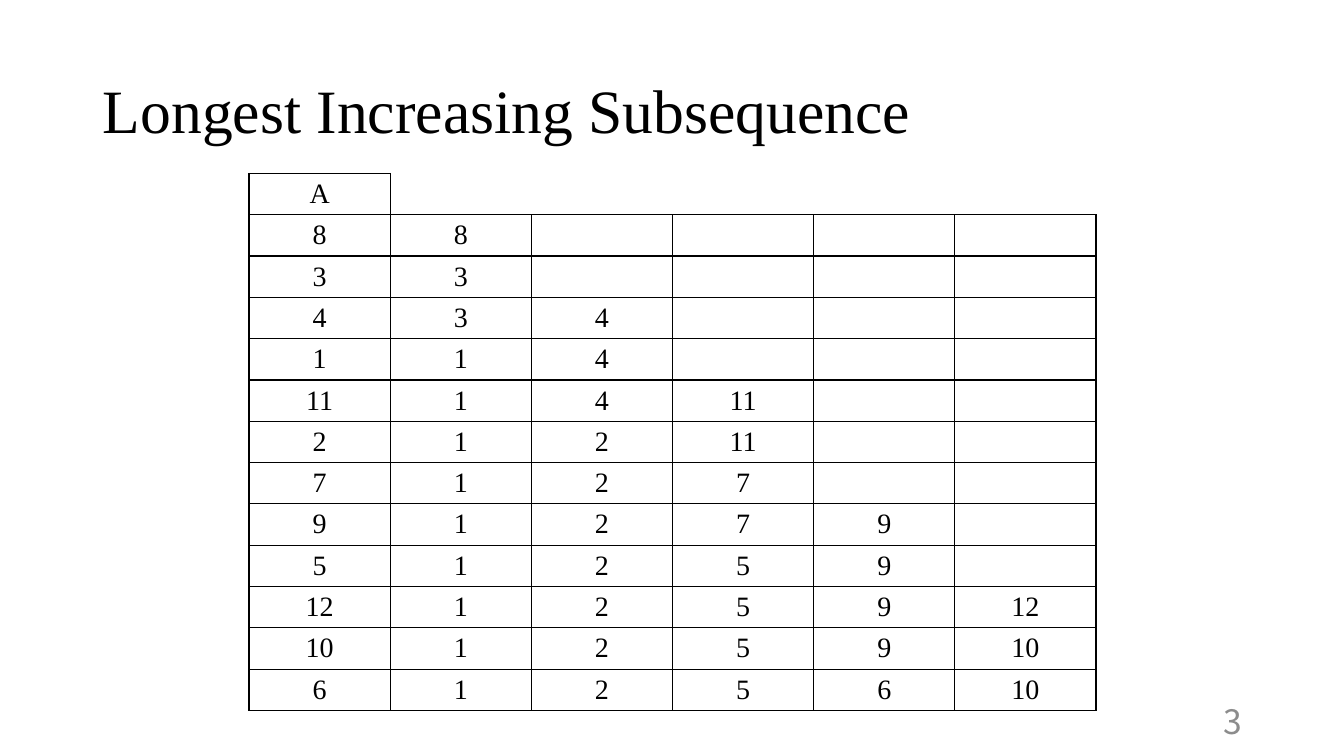
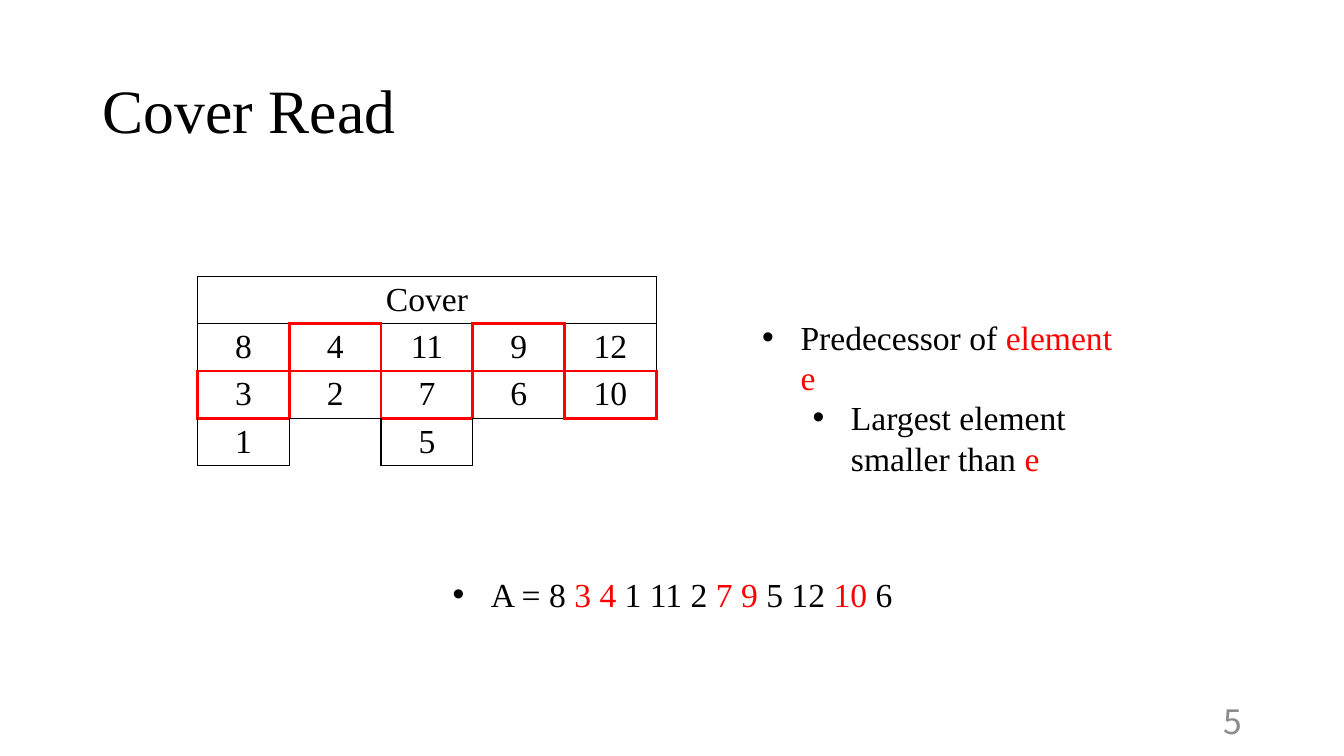
from lxml.etree import SubElement
from pptx import Presentation
from pptx.dml.color import RGBColor
from pptx.enum.text import MSO_ANCHOR as Anchor, MSO_AUTO_SIZE as AutoSize, PP_ALIGN as Align
from pptx.oxml.ns import qn
from pptx.util import Inches, Pt

BLACK, RED, GREY = "000000", "FF0000", "8C8C8C"
SERIF, SANS = "Times New Roman", "Noto Sans CJK JP"
TITLE_ONLY, TWO_CONTENT = 5, 3
PLAIN_TABLE = "{2D5ABB26-0587-4C30-8999-92F81FD0307C}"
# Border tag and the row and column step to the neighbour on that side
SIDES = (("a:lnL", 0, -1), ("a:lnR", 0, 1), ("a:lnT", -1, 0), ("a:lnB", 1, 0))


def color(hex_string):
    return RGBColor.from_string(hex_string)


def write(para, text, size=24, font=SERIF, ink=BLACK, align=Align.LEFT, spacing=1.0):
    """Fill a paragraph; text between a pair of bars is set in red."""
    para.alignment = align
    para.line_spacing = spacing
    para.space_before = para.space_after = Pt(0)
    for index, part in enumerate(text.split("|")):
        if part:
            span = para.add_run()
            span.text = part
            span.font.size = Pt(size)
            span.font.name = font
            span.font.color.rgb = color(RED if index % 2 else ink)


def add_bullet(para, level):
    para.level = level
    properties = para._p.get_or_add_pPr()
    properties.set("marL", str(Inches(0.38 + 0.5 * level)))
    properties.set("indent", str(Inches(-0.38)))
    SubElement(properties, qn("a:buFont")).set("typeface", "Arial")
    SubElement(properties, qn("a:buChar")).set("char", "•")


def add_border(cell, tag, ink, width):
    line = SubElement(cell._tc.get_or_add_tcPr(), qn(tag), w=str(Pt(width)))
    if ink:
        fill = SubElement(line, qn("a:solidFill"))
        SubElement(fill, qn("a:srgbClr")).set("val", ink)
    else:
        SubElement(line, qn("a:noFill"))


class Deck:
    """The shared style, and the slide being built."""

    def __init__(self):
        self.file = Presentation()
        self.file.slide_width, self.file.slide_height = Inches(13.33), Inches(7.5)
        self.slide = None

    def add_slide(self, layout, title, number):
        self.slide = self.file.slides.add_slide(self.file.slide_layouts[layout])
        frame = self.place(self.slide.shapes.title, 0.92, 0.4, 11.5, 1.45, Anchor.MIDDLE)
        write(frame.paragraphs[0], title, size=44, spacing=0.9)
        box = self.slide.shapes.add_textbox(0, 0, 0, 0)
        frame = self.place(box, 9.42, 6.95, 3, 0.4, Anchor.MIDDLE)
        write(frame.paragraphs[0], str(number), font=SANS, ink=GREY, align=Align.RIGHT)

    def place(self, box, left, top, width, height, anchor=Anchor.TOP):
        box.left, box.top = Inches(left), Inches(top)
        box.width, box.height = Inches(width), Inches(height)
        frame = box.text_frame
        frame.word_wrap = True
        frame.auto_size = AutoSize.NONE
        frame.vertical_anchor = anchor
        return frame

    def add_list(self, index, items, left, top, width, height, **style):
        """Fill a body placeholder with (level, text) items."""
        frame = self.place(self.slide.placeholders[index], left, top, width, height)
        for position, (level, text) in enumerate(items):
            para = frame.add_paragraph() if position else frame.paragraphs[0]
            write(para, text, **style)
            add_bullet(para, level)

    def add_grid(self, rows, left, top, cell_width, cell_height, size,
                 open_cells=(), marked=(), merged_header=False):
        """Box all cells but the open ones, with red borders round the marked ones."""
        row_count, column_count = len(rows), max(map(len, rows))
        frame = self.slide.shapes.add_table(
            row_count, column_count, Inches(left), Inches(top),
            Inches(cell_width * column_count), Inches(cell_height * row_count))
        table = frame.table
        table.first_row = table.horz_banding = False
        table._tbl.tblPr.find(qn("a:tableStyleId")).text = PLAIN_TABLE
        for row in table.rows:
            row.height = Inches(cell_height)
        for column in table.columns:
            column.width = Inches(cell_width)
        boxed = {(row, column) for row in range(row_count)
                 for column in range(column_count)} - set(open_cells)
        for row in range(row_count):
            for column in range(column_count):
                cell = table.cell(row, column)
                for tag, down, right in SIDES:
                    pair = {(row, column), (row + down, column + right)}
                    if pair & set(marked):
                        add_border(cell, tag, RED, 2.25)
                    else:
                        add_border(cell, tag, BLACK if pair & boxed else None, 1)
                cell.fill.background()
                if column < len(rows[row]):
                    write(cell.text_frame.paragraphs[0], rows[row][column],
                          size=size, align=Align.CENTER)
        if merged_header:
            table.cell(0, 0).merge(table.cell(0, column_count - 1))


def add_subsequence_slide(deck):
    deck.add_slide(TITLE_ONLY, "Longest Increasing Subsequence", 3)
    steps = ["A", "8 8", "3 3", "4 3 4", "1 1 4", "11 1 4 11", "2 1 2 11", "7 1 2 7",
             "9 1 2 7 9", "5 1 2 5 9", "12 1 2 5 9 12", "10 1 2 5 9 10", "6 1 2 5 6 10"]
    deck.add_grid([step.split() for step in steps], 2.47, 1.72, 1.4, 0.41, size=20,
                  open_cells=[(0, column) for column in range(1, 6)])


def add_cover_slide(deck):
    deck.add_slide(TWO_CONTENT, "Cover Read", 5)
    cover = [["Cover"], ["8", "4", "11", "9", "12"], ["3", "2", "7", "6", "10"],
             ["1", "", "5"]]
    deck.add_grid(cover, 1.96, 2.74, 0.91, 0.47, size=24, merged_header=True,
                  open_cells=[(3, 1), (3, 3), (3, 4)],
                  marked=[(1, 1), (1, 3), (2, 0), (2, 2), (2, 4)])
    deck.add_list(1, [(0, "Predecessor of |element e"),
                      (1, "Largest element smaller than |e")], 7.46, 3.09, 3.9, 1.31)
    deck.add_list(2, [(0, "A = 8 |3 4| 1 11 2 |7 9| 5 12 |10| 6")],
                  4.08, 5.64, 5.18, 0.5, align=Align.CENTER)


def main():
    deck = Deck()
    add_subsequence_slide(deck)
    add_cover_slide(deck)
    deck.file.save("out.pptx")


if __name__ == "__main__":
    main()
